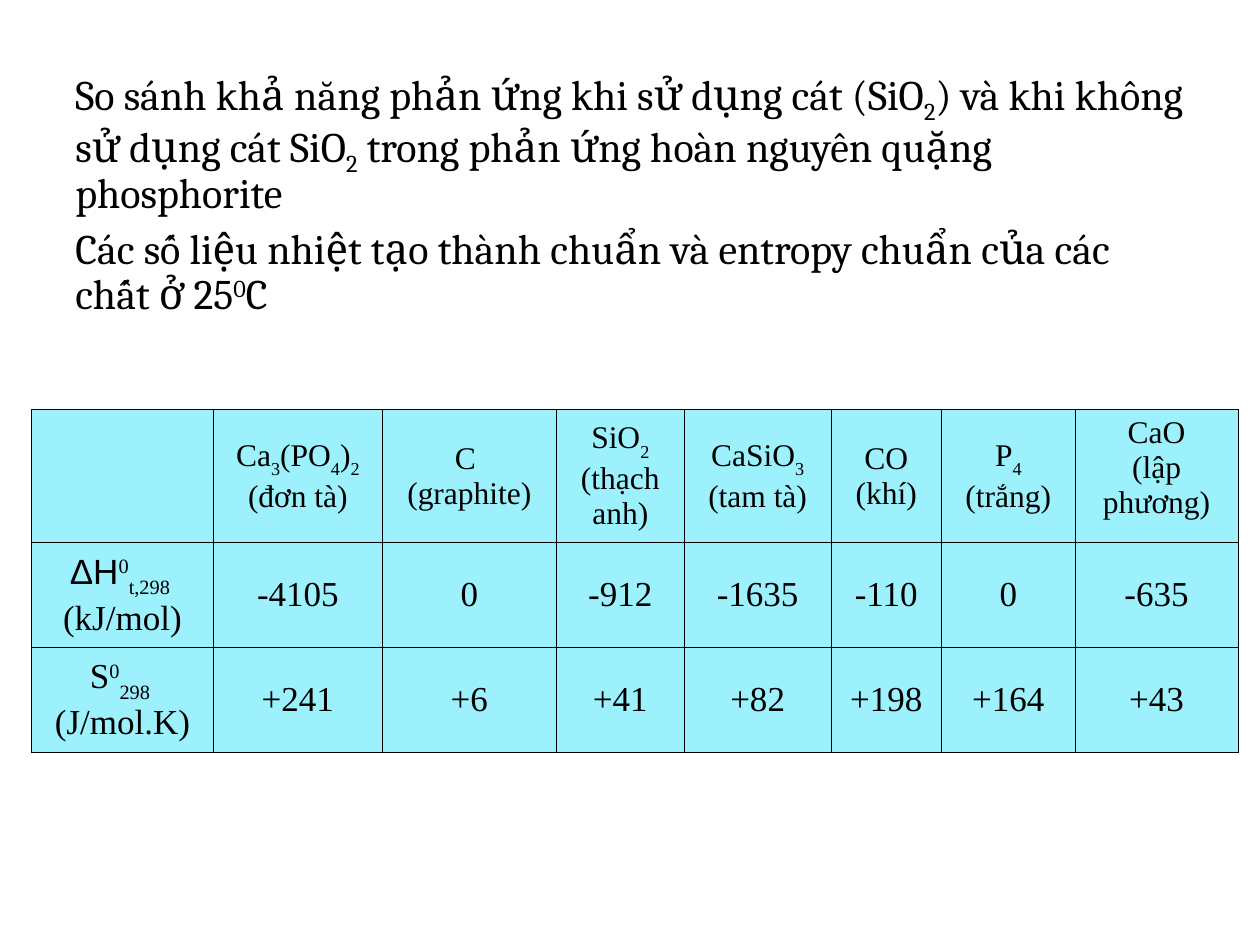
from dataclasses import dataclass

from lxml.etree import SubElement
from pptx import Presentation
from pptx.dml.color import RGBColor
from pptx.enum.text import MSO_ANCHOR, PP_ALIGN
from pptx.oxml.ns import qn
from pptx.util import Pt


@dataclass(frozen=True)
class Theme:
    ink: str = "000000"
    cell_fill: str = "9CF1FC"
    body_font: str = "Cambria"
    table_font: str = "Times New Roman"
    symbol_font: str = "Arial"
    body_size: int = 24
    header_size: int = 18
    value_size: int = 20
    border_width: float = 0.45


THEME = Theme()

# "|" separates runs; a run starting with "_" is lowered, with "^" raised
INTRO = [
    "So sánh khả năng phản ứng khi sử dụng cát (SiO|_2|) và khi không sử dụng cát SiO|_2|"
    " trong phản ứng hoàn nguyên quặng phosphorite",
    "Các số liệu nhiệt tạo thành chuẩn và entropy chuẩn của các chất ở 25|^0|C",
]
# "\n" separates paragraphs
ROWS = [
    ["", "Ca|_3|(PO|_4|)|_2\n(đơn tà)", "C \n(graphite)", "SiO|_2\n(thạch anh)",
     "CaSiO|_3\n(tam tà)", "CO\n(khí)", "P|_4\n(trắng)", "CaO\n(lập phương)"],
    ["ΔΗ|^0|_t,298 \n(kJ/mol)", "-4105", "0", "-912", "-1635", "-110", "0", "-635"],
    ["S|^0|_298 \n(J/mol.K)", "+241", "+6", "+41", "+82", "+198", "+164", "+43"],
]
COLUMN_WIDTHS = [104, 96.5, 99.5, 73, 84, 63, 76.5, 93]
ROW_HEIGHTS = [76, 60, 60]


def add_spans(para, markup, font, size, lowered=-30):
    shifts = {"_": lowered, "^": 30}
    for piece in markup.split("|"):
        shift = shifts.get(piece[:1])
        span = para.add_run()
        span.text = piece[1:] if shift else piece
        span.font.name = THEME.symbol_font if piece == "ΔΗ" else font
        span.font.size = Pt(size)
        span.font.color.rgb = RGBColor.from_string(THEME.ink)
        if shift:
            span.font._element.set("baseline", str(shift * 1000))


def add_paragraphs(frame, texts):
    """Yield one paragraph of the frame for each text."""
    for index, text in enumerate(texts):
        yield (frame.add_paragraph() if index else frame.paragraphs[0]), text


def add_intro(page):
    box = page.shapes.add_textbox(Pt(36), Pt(36), Pt(648), Pt(462))
    box.text_frame.word_wrap = True
    for para, text in add_paragraphs(box.text_frame, INTRO):
        para.space_before = Pt(6)
        para.line_spacing = 0.9
        add_spans(para, text, THEME.body_font, THEME.body_size, lowered=-25)


def add_borders(cell):
    properties = cell._tc.get_or_add_tcPr()
    for side in ("a:lnL", "a:lnR", "a:lnT", "a:lnB"):
        line = SubElement(properties, qn(side), w=str(Pt(THEME.border_width)))
        fill = SubElement(line, qn("a:solidFill"))
        SubElement(fill, qn("a:srgbClr"), val=THEME.ink)


def fill_cell(cell, text, size, anchor):
    add_borders(cell)
    cell.fill.solid()
    cell.fill.fore_color.rgb = RGBColor.from_string(THEME.cell_fill)
    cell.vertical_anchor = anchor
    if not text:
        return
    for para, line in add_paragraphs(cell.text_frame, text.split("\n")):
        para.alignment = PP_ALIGN.CENTER
        add_spans(para, line, THEME.table_font, size)


def add_data_table(page):
    table = page.shapes.add_table(
        len(ROWS), len(COLUMN_WIDTHS), Pt(18), Pt(234),
        Pt(sum(COLUMN_WIDTHS)), Pt(sum(ROW_HEIGHTS))).table
    for column, width in zip(table.columns, COLUMN_WIDTHS):
        column.width = Pt(width)
    for row, height in zip(table.rows, ROW_HEIGHTS):
        row.height = Pt(height)
    for row_index, texts in enumerate(ROWS):
        size = THEME.value_size if row_index else THEME.header_size
        for column_index, text in enumerate(texts):
            top = text.startswith("CaO")
            fill_cell(table.cell(row_index, column_index), text, size,
                      MSO_ANCHOR.TOP if top else MSO_ANCHOR.MIDDLE)


def main():
    deck = Presentation()
    deck.slide_width, deck.slide_height = Pt(720), Pt(540)
    page = deck.slides.add_slide(deck.slide_layouts[6])
    # Question and data heading
    add_intro(page)
    # Enthalpy and entropy values
    add_data_table(page)
    deck.save("out.pptx")


if __name__ == "__main__":
    main()
